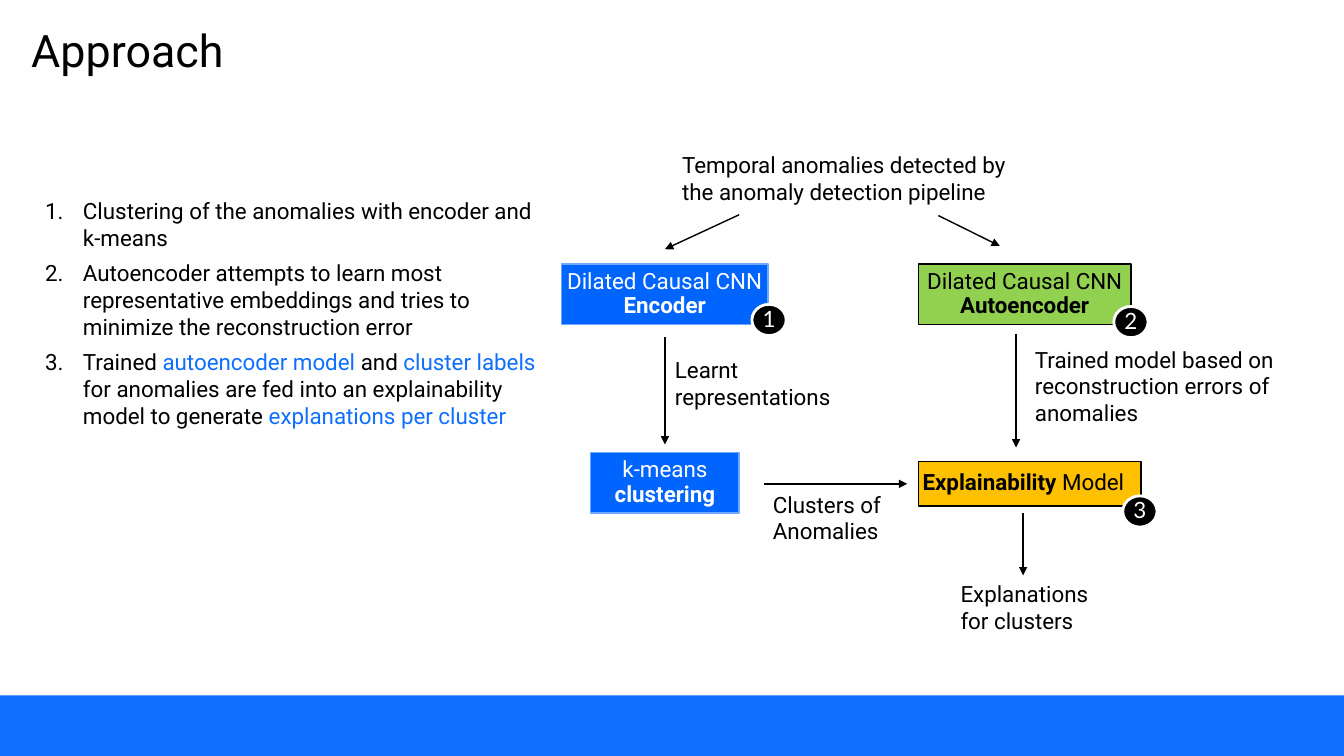
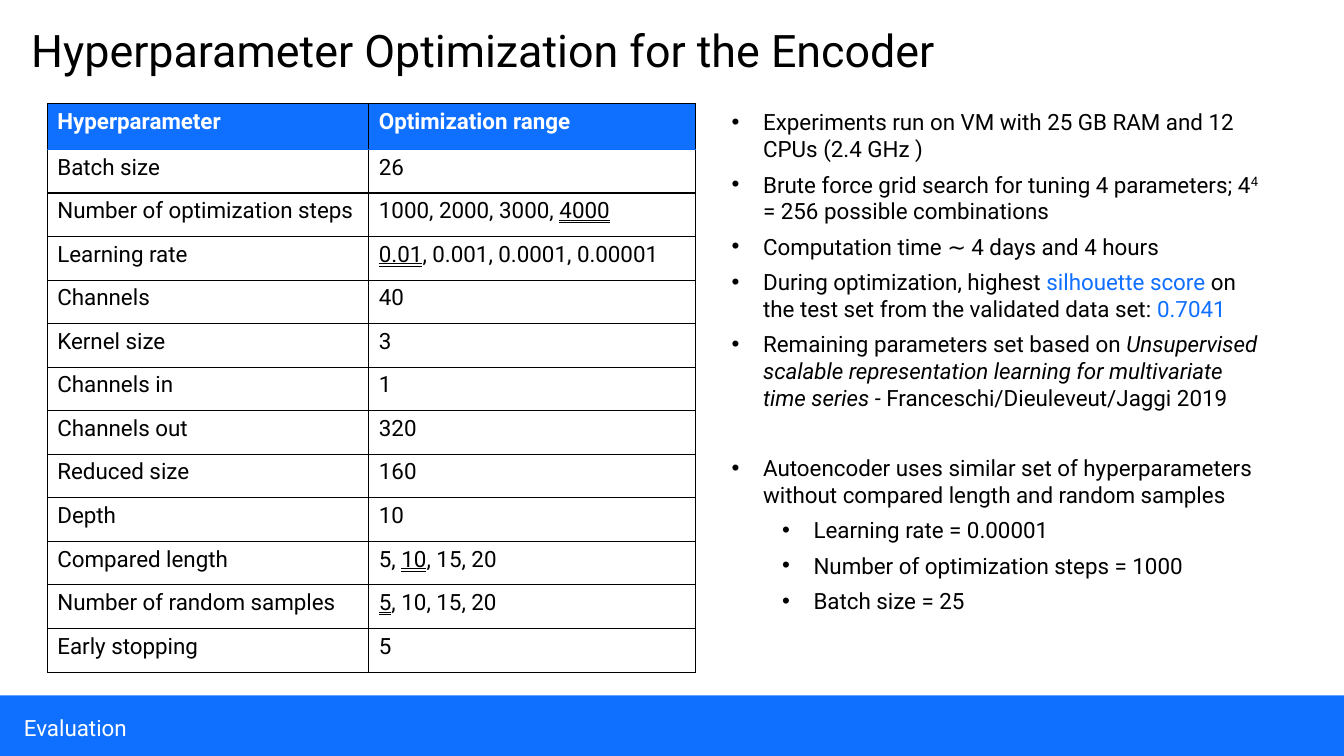
from dataclasses import dataclass

from lxml import etree
from pptx import Presentation
from pptx import util as u
from pptx.dml import color as dml
from pptx.enum import shapes, text
from pptx.oxml import ns

Pt = u.Pt


@dataclass(frozen=True)
class Theme:
    blue: str = "0F6FFF"
    node_blue: str = "0064FF"
    node_edge: str = "6FA9FF"
    header_edge: str = "096BFF"
    green: str = "92D050"
    amber: str = "FFC000"
    black: str = "000000"
    white: str = "FFFFFF"
    font: str = "Roboto"
    badge_font: str = "Lato"
    title_size: int = 32
    body_size: int = 16


@dataclass
class Para:
    spans: list
    level: int = 0
    before: float = 0


THEME = Theme()
WIDTH, HEIGHT, BAND_HEIGHT = 960, 540, 43.2
KEY = {"color": THEME.blue}
BOLD = {"bold": True}
ITALIC = {"italic": True}
CHOSEN = {"underline": text.MSO_UNDERLINE.DOUBLE_LINE}
RAISED = {"raised": True}

STEPS = [
    Para(["Clustering of the anomalies with encoder and k-means"]),
    Para(["Autoencoder attempts to learn most representative embeddings and tries to "
          "minimize the reconstruction error"], before=6),
    Para(["Trained ", ("autoencoder model ", KEY), "and ", ("cluster labels", KEY),
          " for anomalies are fed into an explainability model to generate ",
          ("explanations per cluster", KEY)], before=6),
]

CENTER, LEFT = text.PP_ALIGN.CENTER, text.PP_ALIGN.LEFT
NODES = [
    ((401, 188.6, 147.6, 43.2), THEME.node_blue, THEME.node_edge, THEME.white, CENTER,
     ["Dilated Causal CNN ", ("Encoder", BOLD)]),
    ((656, 188.6, 152, 43.2), THEME.green, THEME.black, THEME.black, CENTER,
     ["Dilated Causal CNN ", ("Autoencoder", BOLD)]),
    ((656, 329.5, 159.2, 32), THEME.amber, THEME.black, THEME.black, LEFT,
     [("Explainability", BOLD), " Model"]),
    ((422, 323.3, 106, 43.2), THEME.node_blue, THEME.node_edge, THEME.white, CENTER,
     ["k-means ", ("clustering", BOLD)]),
]
LABELS = [
    ((480.2, 104.4, 263.5, 46), "Temporal anomalies detected by the anomaly detection pipeline"),
    ((475, 250.6, 137.5, 46), "Learnt representations"),
    ((545, 347, 101, 46), "Clusters of Anomalies"),
    ((732.2, 243.4, 188, 65.5), "Trained model based on reconstruction errors of anomalies"),
    ((679, 411, 123, 46), "Explanations for clusters"),
]
ARROWS = [
    (528, 153.4, 475, 178),
    (670.3, 154, 714.2, 175.7),
    (475, 241, 475, 317.5),
    (545.8, 345.6, 648, 345.6),
    (725.8, 238.3, 725.8, 319.7),
    (730.8, 366.5, 730.8, 411),
]
BADGE_SIZE = (24.5, 22.3)
BADGES = [(537.1, 217.4), (795.6, 218.9), (802, 354.2)]

COLUMNS = (229.7, 233.3)
HEADER_HEIGHT, ROW_HEIGHT = 32.8, 31.1
PARAMETERS = [
    ("Hyperparameter", ["Optimization range"]),
    ("Batch size", ["26"]),
    ("Number of optimization steps", ["1000, 2000, 3000, ", ("4000", CHOSEN)]),
    ("Learning rate", [("0.01", CHOSEN), ", 0.001, 0.0001, 0.00001"]),
    ("Channels", ["40"]),
    ("Kernel size", ["3"]),
    ("Channels in", ["1"]),
    ("Channels out", ["320"]),
    ("Reduced size", ["160"]),
    ("Depth", ["10"]),
    ("Compared length", ["5, ", ("10", CHOSEN), ", 15, 20"]),
    ("Number of random samples", [("5", CHOSEN), ", 10, 15, 20"]),
    ("Early stopping", ["5"]),
]
FINDINGS = [
    Para(["Experiments run on VM with 25 GB RAM and 12 CPUs (2.4 GHz )"]),
    Para(["Brute force grid search for tuning 4 parameters; 4", ("4", RAISED),
          " = 256 possible combinations"]),
    Para(["Computation time ∼ 4 days and 4 hours"]),
    Para(["During optimization, highest ", ("silhouette score ", KEY),
          "on the test set from the validated data set: ", ("0.7041", KEY)]),
    Para(["Remaining parameters set based on ",
          ("Unsupervised scalable representation learning for multivariate time series - ", ITALIC),
          "Franceschi/Dieuleveut/Jaggi 2019"]),
    Para(["Autoencoder uses similar set of hyperparameters without compared length "
          "and random samples"], before=25),
    Para(["Learning rate = 0.00001"], level=1),
    Para(["Number of optimization steps = 1000"], level=1),
    Para(["Batch size = 25"], level=1),
]


def rgb(value):
    return dml.RGBColor.from_string(value)


def points(values):
    return [Pt(value) for value in values]


def add_bullet(para, kind, indent, level):
    props = para._p.get_or_add_pPr()
    props.set("marL", str(Pt(indent + 36 * level)))
    props.set("indent", str(-Pt(indent)))
    if kind == "number":
        etree.SubElement(props, ns.qn("a:buAutoNum"), type="arabicPeriod")
    else:
        etree.SubElement(props, ns.qn("a:buFont"), typeface="Arial")
        etree.SubElement(props, ns.qn("a:buChar"), char=kind)


def write(frame, content, size=THEME.body_size, color=THEME.black, font=THEME.font,
          bold=False, align=LEFT, line=None, after=0, bullet=None, indent=0):
    paras = [Para([content])] if isinstance(content, str) else content
    for index, source in enumerate(paras):
        para = frame.paragraphs[0] if index == 0 else frame.add_paragraph()
        para.level = source.level
        if bullet:
            add_bullet(para, bullet, indent, source.level)
        para.alignment = align
        para.space_before, para.space_after = Pt(source.before), Pt(after)
        if line:
            para.line_spacing = line
        for item in source.spans:
            words, style = (item, {}) if isinstance(item, str) else item
            span = para.add_run()
            span.text = words
            span.font.name, span.font.size = font, Pt(size)
            span.font.color.rgb = rgb(style.get("color", color))
            span.font.bold = style.get("bold", bold)
            span.font.italic = style.get("italic", False)
            span.font.underline = style.get("underline", False)
            if style.get("raised"):
                span.font._element.set("baseline", "30000")


def set_margins(frame, margin):
    frame.margin_left = frame.margin_top = frame.margin_right = frame.margin_bottom = Pt(margin)


def add_text(page, place, content, margin=None, **style):
    frame = page.shapes.add_textbox(*points(place)).text_frame
    frame.word_wrap = True
    if margin is not None:
        set_margins(frame, margin)
    write(frame, content, **style)


def add_box(page, kind, place, fill, edge=None, edge_width=1):
    box = page.shapes.add_shape(kind, *points(place))
    box.shadow.inherit = False
    box.fill.solid()
    box.fill.fore_color.rgb = rgb(fill)
    if edge:
        box.line.color.rgb, box.line.width = rgb(edge), Pt(edge_width)
    else:
        box.line.fill.background()
    frame = box.text_frame
    frame.word_wrap = True
    frame.vertical_anchor = text.MSO_ANCHOR.MIDDLE
    set_margins(frame, 3)
    return box


def add_arrow(page, ends):
    arrow = page.shapes.add_connector(shapes.MSO_CONNECTOR.STRAIGHT, *points(ends))
    arrow.line.color.rgb, arrow.line.width = rgb(THEME.black), Pt(1)
    etree.SubElement(arrow.line._get_or_add_ln(), ns.qn("a:tailEnd"), type="triangle")
    etree.SubElement(arrow._element.spPr, ns.qn("a:effectLst"))


def set_borders(cell, borders):
    props = cell._tc.get_or_add_tcPr()
    for index, (side, (color, width)) in enumerate(borders.items()):
        edge = etree.Element(ns.qn("a:ln" + side), w=str(Pt(width)))
        fill = etree.SubElement(edge, ns.qn("a:solidFill"))
        etree.SubElement(fill, ns.qn("a:srgbClr"), val=color)
        props.insert(index, edge)


def add_parameter_table(page, left, top):
    last = len(PARAMETERS) - 1
    height = HEADER_HEIGHT + ROW_HEIGHT * last
    table = page.shapes.add_table(len(PARAMETERS), len(COLUMNS),
                                  *points((left, top, sum(COLUMNS), height))).table
    table.first_row = table.horz_banding = False
    for column, width in zip(table.columns, COLUMNS):
        column.width = Pt(width)
    inner, outer = (THEME.black, 1), (THEME.black, 0.5)
    below_header = (THEME.header_edge, 0.75)
    for row, (name, values) in enumerate(PARAMETERS):
        header = row == 0
        table.rows[row].height = Pt(HEADER_HEIGHT if header else ROW_HEIGHT)
        for column, spans in enumerate(([name], values)):
            cell = table.cell(row, column)
            if header:
                cell.fill.solid()
                cell.fill.fore_color.rgb = rgb(THEME.blue)
            else:
                cell.fill.background()
            set_borders(cell, {
                "L": inner if column else outer,
                "R": outer if column else inner,
                "T": outer if header else below_header if row == 1 else inner,
                "B": below_header if header else outer if row == last else inner,
            })
            write(cell.text_frame, [Para(spans)], bold=header,
                  color=THEME.white if header else THEME.black)


def add_page(deck, title, footer=None):
    page = deck.slides.add_slide(deck.slide_layouts[6])
    band_top = HEIGHT - BAND_HEIGHT
    add_box(page, shapes.MSO_SHAPE.RECTANGLE, (0, band_top, WIDTH, BAND_HEIGHT), THEME.blue)
    add_text(page, (22.3, 20.9, 713, 43.2), title, margin=0, size=THEME.title_size, line=0.9)
    if footer:
        add_text(page, (10, band_top + 10, 227.5, 26.6), footer, color=THEME.white)
    return page


def build_approach(deck):
    page = add_page(deck, "Approach")
    add_text(page, (25.2, 137.5, 369.4, 252), STEPS, bullet="number", indent=27)
    for place, fill, edge, color, align, spans in NODES:
        node = add_box(page, shapes.MSO_SHAPE.RECTANGLE, place, fill, edge)
        write(node.text_frame, [Para(spans)], color=color, align=align, line=0.9)
    for place, words in LABELS:
        add_text(page, place, words)
    for ends in ARROWS:
        add_arrow(page, ends)
    for number, corner in enumerate(BADGES, 1):
        badge = add_box(page, shapes.MSO_SHAPE.OVAL, corner + BADGE_SIZE,
                        THEME.black, THEME.white, 2)
        write(badge.text_frame, str(number), font=THEME.badge_font, color=THEME.white,
              align=CENTER, line=0.9)


def build_optimization(deck):
    page = add_page(deck, "Hyperparameter Optimization for the Encoder", "Evaluation")
    add_parameter_table(page, 33.8, 74)
    add_text(page, (515.5, 74, 396.7, 372), FINDINGS, bullet="•", indent=22.5, after=6)


def main():
    deck = Presentation()
    deck.slide_width, deck.slide_height = Pt(WIDTH), Pt(HEIGHT)
    build_approach(deck)
    build_optimization(deck)
    deck.save("out.pptx")


if __name__ == "__main__":
    main()
